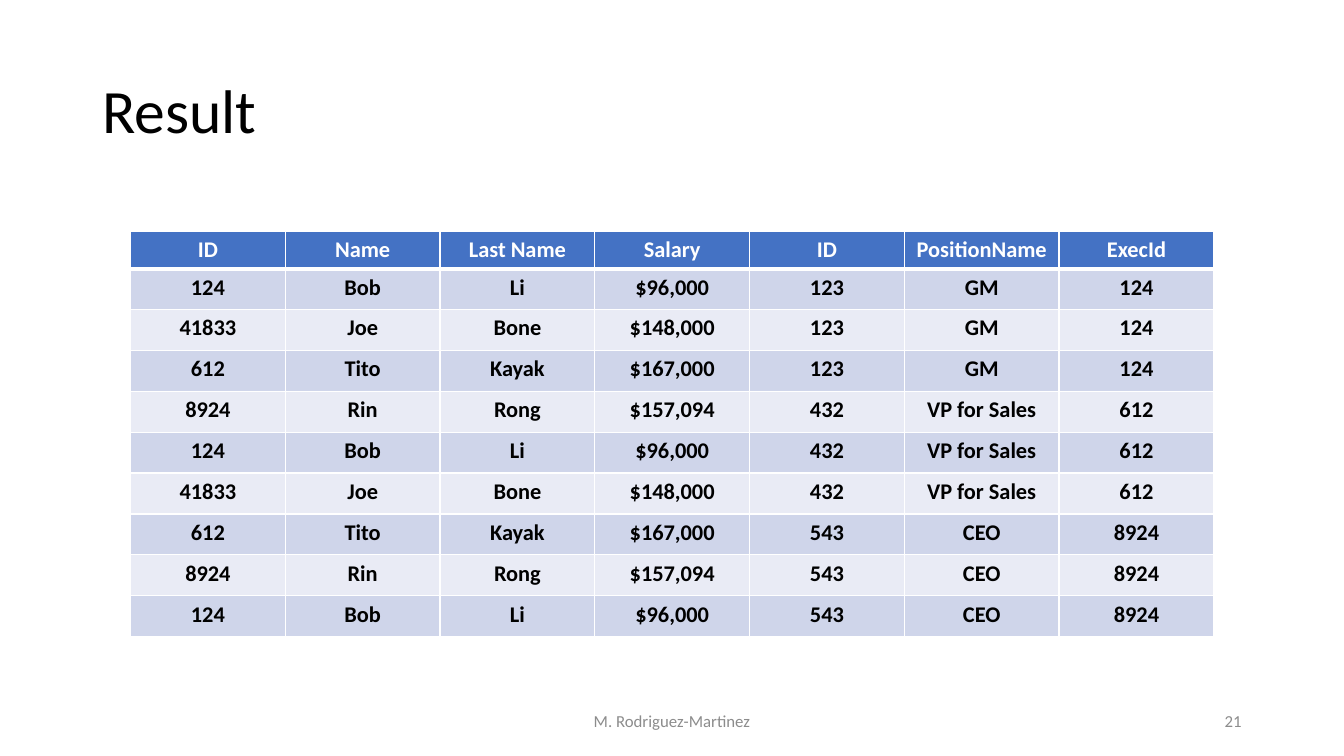
"""Builds the slide that shows the result of joining employees and positions."""
import dataclasses
import itertools

import lxml.etree
import pptx
import pptx.dml.color
import pptx.enum.text
import pptx.oxml.ns
import pptx.util

Cm = pptx.util.Cm
Pt = pptx.util.Pt
Align = pptx.enum.text.PP_ALIGN


@dataclasses.dataclass(frozen=True)
class Theme:
    """Colours, font and type sizes of the slide."""
    font: str = "Calibri"
    black: str = "000000"
    white: str = "FFFFFF"
    grey: str = "8C8C8C"
    header: str = "4472C4"
    bands: tuple = ("CFD5EA", "E9EBF5")
    title_size: int = 44
    table_size: int = 16
    footer_size: int = 12
    thin: int = 1
    thick: int = 3


THEME = Theme()

HEADINGS = ("ID", "Name", "Last Name", "Salary", "ID", "PositionName", "ExecId")
EMPLOYEES = (
    ("124", "Bob", "Li", "$96,000"),
    ("41833", "Joe", "Bone", "$148,000"),
    ("612", "Tito", "Kayak", "$167,000"),
    ("8924", "Rin", "Rong", "$157,094"),
)
POSITIONS = (
    ("123", "GM", "124"),
    ("432", "VP for Sales", "612"),
    ("543", "CEO", "8924"),
)
ROWS_PER_POSITION = 3


def joined_rows():
    """Pair the repeating employees with each position in turn."""
    positions = [entry for entry in POSITIONS for _ in range(ROWS_PER_POSITION)]
    return [who + what for who, what in zip(itertools.cycle(EMPLOYEES), positions)]


def write(frame, text, size, colour, align, bold=False):
    """Set one paragraph of text and format it."""
    frame.text = text
    para = frame.paragraphs[0]
    para.alignment = align
    font = para.runs[0].font
    font.name = THEME.font
    font.size = Pt(size)
    font.bold = bold
    font.color.rgb = pptx.dml.color.RGBColor.from_string(colour)
    return para


def add_text(page, place, text, size, colour, align):
    """Add a vertically centred text box and return its paragraph."""
    box = page.shapes.add_textbox(*(Cm(length) for length in place))
    frame = box.text_frame
    frame.word_wrap = True
    frame.vertical_anchor = pptx.enum.text.MSO_ANCHOR.MIDDLE
    return write(frame, text, size, colour, align)


def add_borders(cell, top, bottom):
    """Draw white borders, with the top and bottom widths given in points."""
    qualified = pptx.oxml.ns.qn
    properties = cell._tc.get_or_add_tcPr()
    widths = {"L": THEME.thin, "R": THEME.thin, "T": top, "B": bottom}
    for side, width in widths.items():
        line = lxml.etree.SubElement(
            properties, qualified(f"a:ln{side}"), w=str(Pt(width)))
        fill = lxml.etree.SubElement(line, qualified("a:solidFill"))
        lxml.etree.SubElement(fill, qualified("a:srgbClr"), val=THEME.white)


def fill_row(table, index, values):
    """Write and colour one table row, the first one as the header."""
    is_header = index == 0
    background = THEME.header if is_header else THEME.bands[(index - 1) % 2]
    colour = THEME.white if is_header else THEME.black
    top = THEME.thick if index == 1 else THEME.thin
    bottom = THEME.thick if is_header else THEME.thin
    for column, value in enumerate(values):
        cell = table.cell(index, column)
        add_borders(cell, top, bottom)
        cell.fill.solid()
        cell.fill.fore_color.rgb = pptx.dml.color.RGBColor.from_string(background)
        write(cell.text_frame, value, THEME.table_size, colour, Align.CENTER, True)


def add_result_table(page):
    """Add the table of joined rows."""
    rows = [HEADINGS] + joined_rows()
    table = page.shapes.add_table(
        len(rows), len(HEADINGS), Cm(3.29), Cm(5.83), Cm(27.3), Cm(10.21)).table
    for column in table.columns:
        column.width = Cm(3.9)
    for index, values in enumerate(rows):
        table.rows[index].height = Cm(1.03 if index else 0.94)
        fill_row(table, index, values)


def main():
    """Build and save the slide."""
    deck = pptx.Presentation()
    deck.slide_width, deck.slide_height = Cm(33.87), Cm(19.05)
    page = deck.slides.add_slide(deck.slide_layouts[6])
    title = add_text(page, (2.33, 1.01, 29.21, 3.68), "Result",
                     THEME.title_size, THEME.black, Align.LEFT)
    title.line_spacing = 0.9
    add_result_table(page)
    add_text(page, (11.22, 17.66, 11.43, 1.01), "M. Rodriguez-Martinez",
             THEME.footer_size, THEME.grey, Align.CENTER)
    add_text(page, (23.92, 17.66, 7.62, 1.01), "21",
             THEME.footer_size, THEME.grey, Align.RIGHT)
    deck.save("out.pptx")


if __name__ == "__main__":
    main()
